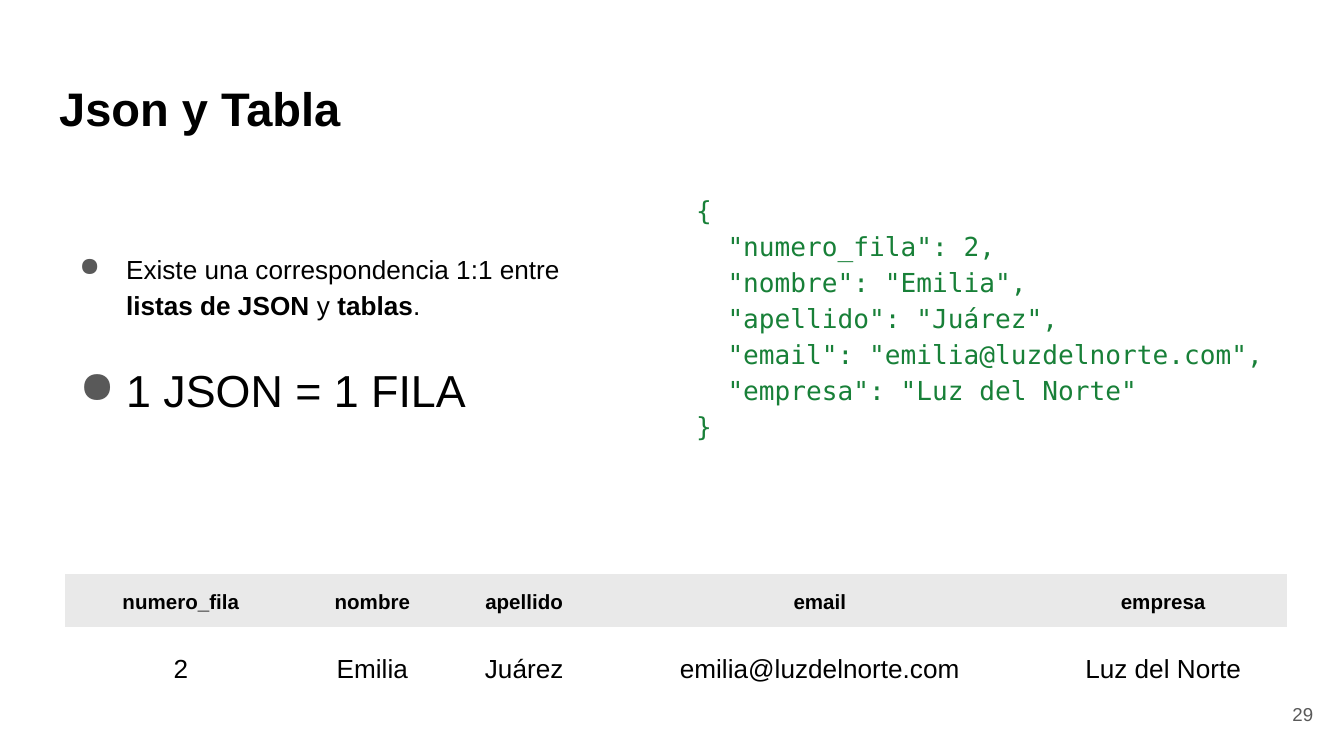
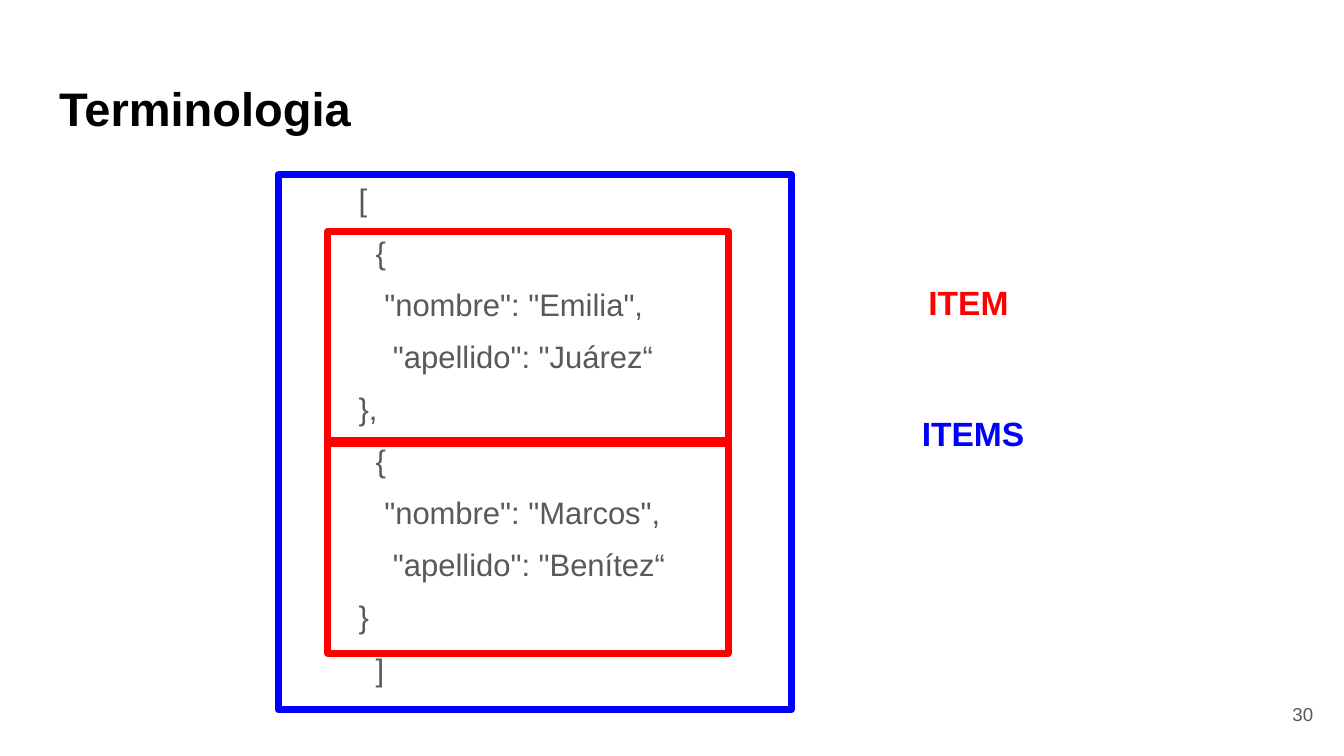
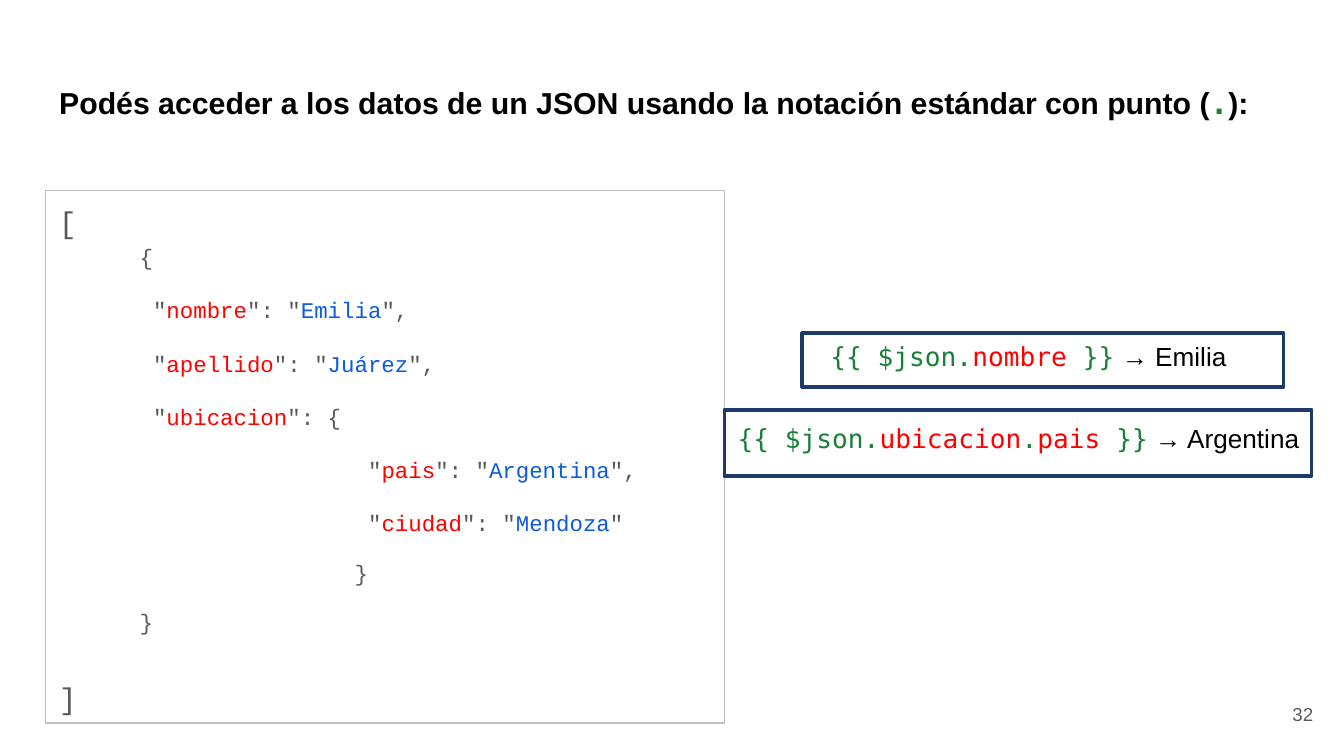
import dataclasses

import lxml.etree
import pptx
import pptx.dml.color
import pptx.enum.shapes
import pptx.enum.text
import pptx.oxml.ns
import pptx.util

Pt = pptx.util.Pt
Align = pptx.enum.text.PP_ALIGN
Anchor = pptx.enum.text.MSO_ANCHOR


@dataclasses.dataclass(frozen=True)
class Theme:
    # Colours
    black: str = "000000"
    gray: str = "595959"
    green: str = "188038"
    red: str = "FF0000"
    blue: str = "0000FF"
    value_blue: str = "0D5BDC"
    navy: str = "1D3A6B"
    header_gray: str = "E9E9E9"
    frame_gray: str = "BFBFBF"
    # Typefaces
    sans: str = "Arial"
    code: str = "DejaVu Sans Mono"
    courier: str = "Courier New"
    # Type sizes
    title: float = 25.2
    subtitle: float = 16.2
    emphasis: float = 24
    label: float = 18
    terms: float = 16.6
    bracket: float = 16
    body: float = 14
    listing: float = 12
    header: float = 11
    page: float = 10
    # Spacing
    inset: float = 7.2
    leading: float = 1.15


THEME = Theme()
NO_GRID_STYLE = "{2D5ABB26-0587-4C30-8999-92F81FD0307C}"
TITLE_BOX = (24.5, 35.3, 671, 45.4)
PAGE_BOX = (667.4, 367.2, 43.2, 31)


# Text helpers

def rgb(color):
    return pptx.dml.color.RGBColor.from_string(color)


def set_font(font, face=None, size=None, color=None, bold=None):
    if face:
        font.name = face
    if size:
        font.size = Pt(size)
    if color:
        font.color.rgb = rgb(color)
    if bold is not None:
        font.bold = bold


def write(paragraph, runs, face=THEME.sans, size=THEME.body, color=THEME.black,
          bold=False, align=Align.LEFT, leading=None, before=0, after=0, indent=0):
    """Fill a paragraph; runs hold text or (text, font changes)."""
    paragraph._p.get_or_add_pPr().set("marL", str(Pt(indent)))
    paragraph.alignment = align
    paragraph.space_before, paragraph.space_after = Pt(before), Pt(after)
    if leading:
        paragraph.line_spacing = leading
    set_font(paragraph.font, face, size, color, bold)
    for part in [runs] if isinstance(runs, str) else runs:
        text, changes = (part, {}) if isinstance(part, str) else part
        run = paragraph.add_run()
        run.text = text
        set_font(run.font, **changes)


def add_bullet(paragraph, color, hang):
    properties = paragraph._p.get_or_add_pPr()
    properties.set("indent", str(-Pt(hang)))
    qn = pptx.oxml.ns.qn
    bullet_color = lxml.etree.SubElement(properties, qn("a:buClr"))
    lxml.etree.SubElement(bullet_color, qn("a:srgbClr"), val=color)
    lxml.etree.SubElement(properties, qn("a:buChar"), char="●")


def set_frame(frame, anchor=Anchor.TOP, inset=THEME.inset):
    frame.word_wrap = True
    frame.auto_size = pptx.enum.text.MSO_AUTO_SIZE.NONE
    frame.vertical_anchor = anchor
    frame.margin_left = frame.margin_right = Pt(THEME.inset)
    frame.margin_top = frame.margin_bottom = Pt(inset)
    return frame


def next_paragraph(frame, index):
    return frame.add_paragraph() if index else frame.paragraphs[0]


# Shared parts

def add_text_frame(slide, box, **frame_options):
    shape = slide.shapes.add_textbox(*map(Pt, box))
    return set_frame(shape.text_frame, **frame_options)


def add_outline(slide, box, color, width):
    outline = slide.shapes.add_shape(
        pptx.enum.shapes.MSO_SHAPE.RECTANGLE, *map(Pt, box))
    outline.shadow.inherit = False
    outline.fill.background()
    outline.line.color.rgb = rgb(color)
    outline.line.width = Pt(width)
    return outline


def add_label(slide, box, text, color):
    label = add_text_frame(slide, box)
    write(label.paragraphs[0], text, size=THEME.label, color=color, bold=True)


def start_slide(deck, title_runs, page, size=THEME.title, leading=None):
    slide = deck.slides.add_slide(deck.slide_layouts[5])
    title = slide.shapes.title
    title.left, title.top, title.width, title.height = map(Pt, TITLE_BOX)
    write(set_frame(title.text_frame).paragraphs[0], title_runs,
          size=size, bold=True, leading=leading)
    number = add_text_frame(slide, PAGE_BOX, anchor=Anchor.MIDDLE)
    write(number.paragraphs[0], str(page), size=THEME.page,
          color=THEME.gray, align=Align.RIGHT)
    return slide


# Slide 1: JSON and table

def add_correspondence(slide, box):
    frame = add_text_frame(slide, box, anchor=Anchor.MIDDLE)
    strong = {"bold": True}
    points = [
        (["Existe una correspondencia 1:1 entre ", ("listas de JSON", strong),
          " y ", ("tablas", strong), "."], THEME.body, 0),
        ("1 JSON = 1 FILA", THEME.emphasis, 18.5),
    ]
    for index, (runs, size, before) in enumerate(points):
        point = next_paragraph(frame, index)
        add_bullet(point, THEME.gray, hang=25)
        write(point, runs, size=size, before=before, indent=36,
              leading=THEME.leading)


def add_json_row(slide, box):
    frame = add_text_frame(slide, box, anchor=Anchor.MIDDLE)
    frame.margin_bottom = Pt(25.7)
    fields = ['"numero_fila": 2,', '"nombre": "Emilia",', '"apellido": "Juárez",',
              '"email": "emilia@luzdelnorte.com",', '"empresa": "Luz del Norte"']
    for index, line in enumerate(["{", *fields, "}"]):
        write(next_paragraph(frame, index), line, face=THEME.code,
              color=THEME.green, leading=THEME.leading,
              indent=16.86 if line in fields else 0)


def add_row_table(slide, box):
    header = ["numero_fila", "nombre", "apellido", "email", "empresa"]
    person = ["2", "Emilia", "Juárez", "emilia@luzdelnorte.com", "Luz del Norte"]
    frame = slide.shapes.add_table(2, len(header), *map(Pt, box))
    next(frame._element.iter(pptx.oxml.ns.qn("a:tableStyleId"))).text = NO_GRID_STYLE
    table = frame.table
    table.horz_banding = table.first_row = False
    for column, width in zip(table.columns, [124.6, 80.6, 82.1, 234.7, 133.2]):
        column.width = Pt(width)
    for row, height in zip(table.rows, [28.2, 46]):
        row.height = Pt(height)
    for column, (name, value) in enumerate(zip(header, person)):
        head, cell = table.cell(0, column), table.cell(1, column)
        for each in (head, cell):
            each.margin_left = each.margin_right = Pt(THEME.inset)
            each.margin_top = each.margin_bottom = Pt(THEME.inset)
        head.fill.solid()
        head.fill.fore_color.rgb = rgb(THEME.header_gray)
        cell.fill.background()
        cell.vertical_anchor = Anchor.MIDDLE
        write(head.text_frame.paragraphs[0], name, size=THEME.header, bold=True,
              align=Align.CENTER, leading=THEME.leading)
        write(cell.text_frame.paragraphs[0], value, align=Align.CENTER)


def build_json_and_table(deck):
    slide = start_slide(deck, "Json y Tabla", 29)
    add_correspondence(slide, (24.5, 90.7, 314.6, 175))
    add_json_row(slide, (365.8, 90.7, 329, 175))
    add_row_table(slide, (34.6, 307.4, 655.2, 74.2))


# Slide 2: terminology

def add_items_listing(slide, box):
    left, top, _, _ = box
    items = add_outline(slide, box, THEME.blue, 3.75)
    frame = set_frame(items.text_frame)
    people = [("Emilia", "Juárez", "},"), ("Marcos", "Benítez", "}")]
    lines = [(0, "[")]
    for name, surname, closing in people:
        lines += [(2, "{"), (3, f'"nombre": "{name}",'),
                  (4, f'"apellido": "{surname}“'), (0, closing)]
    lines.append((2, "]"))
    space_width = 4.61
    for index, (spaces, line) in enumerate(lines):
        write(next_paragraph(frame, index), line, size=THEME.terms,
              color=THEME.gray, leading=0.8, before=12 if index else 0,
              indent=36 + spaces * space_width)
    # One frame around each item
    for index in range(len(people)):
        item_box = (left + 26.6, top + 30.2 + index * 112.3, 214.6, 113.8)
        add_outline(slide, item_box, THEME.red, 3.75)


def build_terminology(deck):
    slide = start_slide(deck, "Terminologia", 30)
    add_items_listing(slide, (149, 93.6, 275, 286.6))
    add_label(slide, (490.3, 144, 108, 45.4), "ITEM", THEME.red)
    add_label(slide, (486.7, 213.8, 123.1, 36), "ITEMS", THEME.blue)


# Slide 3: dot notation

def json_field(key, value, ending=","):
    return ['"', (key, {"color": THEME.red}), '": "',
            (value, {"color": THEME.value_blue}), f'"{ending}']


def add_nested_listing(slide, box):
    listing = add_outline(slide, box, THEME.frame_gray, 0.75)
    frame = set_frame(listing.text_frame, anchor=Anchor.MIDDLE)
    large, small, wide = THEME.bracket, THEME.listing, THEME.leading
    # Column, runs, size, line spacing, space before, space after
    lines = [
        (0, "[", large, wide, 0, 0),
        (6, "{", small, wide, 0, 0),
        (7, json_field("nombre", "Emilia"), small, wide, 12, 0),
        (7, json_field("apellido", "Juárez"), small, wide, 12, 0),
        (7, ['"', ("ubicacion", {"color": THEME.red}), '": {'], small, wide, 12, 0),
        (23, json_field("pais", "Argentina"), small, wide, 12, 0),
        (23, json_field("ciudad", "Mendoza", ""), small, wide, 12, 0),
        (22, "}", small, 1.0, 12, 0),
        (6, "}", small, 1.0, 12, 12),
        (0, "]", large, 1.0, 12, 12),
    ]
    column_width = 7.2
    for index, (column, runs, size, leading, before, after) in enumerate(lines):
        write(next_paragraph(frame, index), runs, face=THEME.courier, size=size,
              color=THEME.gray, leading=leading, before=before, after=after,
              indent=column * column_width)


def add_expression(slide, frame_box, text_box, keys, result, leading=None, **options):
    add_outline(slide, frame_box, THEME.navy, 2)
    runs = ["{{ $json."]
    for index, key in enumerate(keys):
        if index:
            runs.append(".")
        runs.append((key, {"color": THEME.red}))
    runs += [" }}", (f" → {result}", {"face": THEME.sans, "color": THEME.black})]
    expression = add_text_frame(slide, text_box, **options)
    write(expression.paragraphs[0], runs, face=THEME.code, color=THEME.green,
          leading=leading)


def build_dot_notation(deck):
    title = ["Podés acceder a los datos de un JSON usando la notación estándar "
             "con punto (", (".", {"face": THEME.code, "color": THEME.green}), "):"]
    slide = start_slide(deck, title, 32, THEME.subtitle, THEME.leading)
    add_nested_listing(slide, (24.5, 102.2, 363.6, 285.1))
    add_expression(slide, (429.8, 178.6, 257.8, 28.8), (437.8, 178.6, 257.8, 24.5),
                   ["nombre"], "Emilia", inset=3.6)
    add_expression(slide, (388.1, 219.6, 314.6, 35.3), (388.1, 202.3, 321.8, 62.6),
                   ["ubicacion", "pais"], "Argentina", THEME.leading,
                   anchor=Anchor.MIDDLE)


def main():
    deck = pptx.Presentation()
    deck.slide_width, deck.slide_height = Pt(720), Pt(405)
    build_json_and_table(deck)
    build_terminology(deck)
    build_dot_notation(deck)
    deck.save("out.pptx")


if __name__ == "__main__":
    main()
